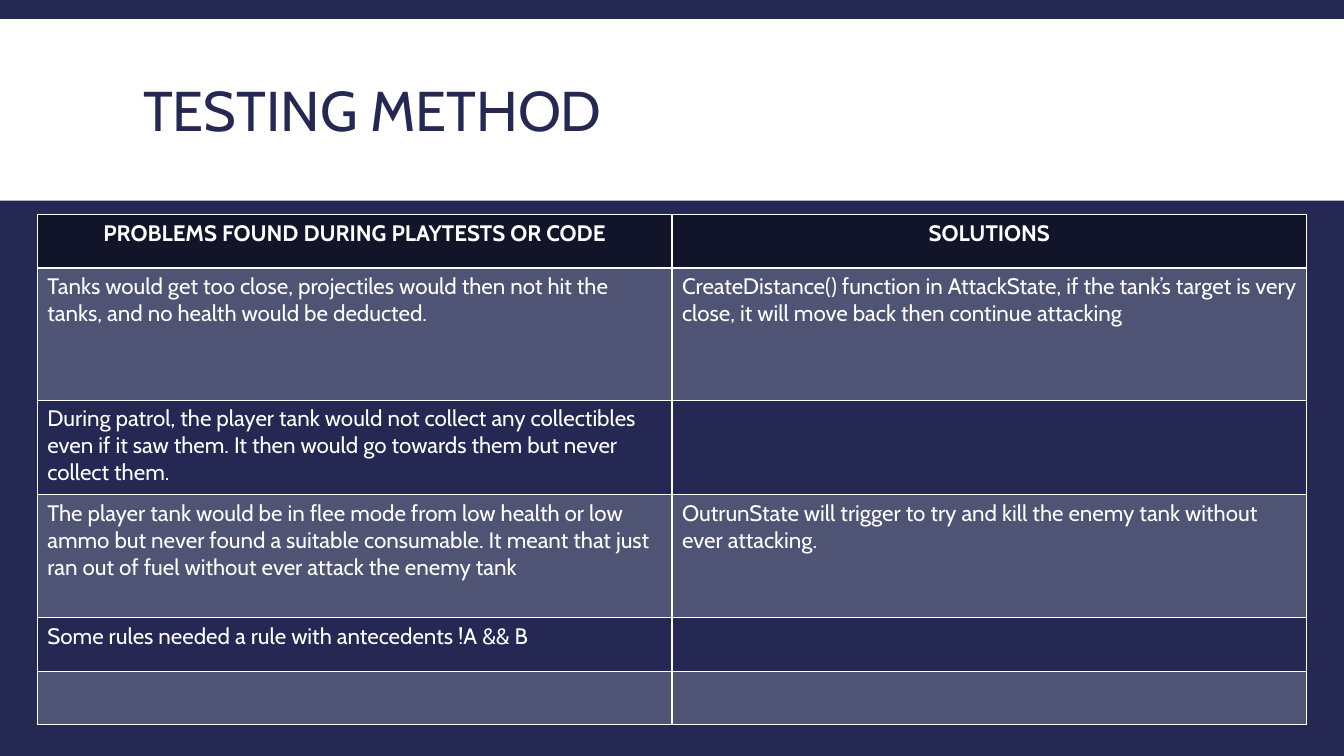
from lxml.etree import SubElement as Sub
from pptx import Presentation
from pptx.dml.color import RGBColor as Rgb
from pptx.enum.shapes import MSO_SHAPE as Shape
from pptx.enum.text import MSO_ANCHOR as Anchor, MSO_AUTO_SIZE as Fit, PP_ALIGN as Align
from pptx.oxml import parse_xml
from pptx.oxml.ns import nsdecls, qn
from pptx.util import Inches, Pt

NAVY = Rgb(0x24, 0x28, 0x52)
DARK = Rgb(0x12, 0x14, 0x29)
WHITE = Rgb(0xFF, 0xFF, 0xFF)
FONT = "Cabin"

# Row height, problem, solution
ROWS = [
    (0.53, "PROBLEMS FOUND DURING PLAYTESTS OR CODE", "SOLUTIONS"),
    (1.31, "Tanks would get too close, projectiles would then not hit the tanks, "
           "and no health would be deducted.",
     "CreateDistance() function in AttackState, if the tank’s target is very close, "
     "it will move back then continue attacking"),
    (0.94, "During patrol, the player tank would not collect any collectibles even if "
           "it saw them. It then would go towards them but never collect them.", ""),
    (1.22, "The player tank would be in flee mode from low health or low ammo but never "
           "found a suitable consumable. It meant that just ran out of fuel without "
           "ever attack the enemy tank",
     "OutrunState will trigger to try and kill the enemy tank without ever attacking."),
    (0.53, "Some rules needed a rule with antecedents !A && B", ""),
    (0.53, "", ""),
]


def add_run(para, text, size, color, bold=False):
    run = para.add_run()
    run.text = text
    font = run.font
    font.name, font.size, font.bold = FONT, Pt(size), bold
    font.color.rgb = color


def add_head(slide, left, top, width, height):
    # White band behind the title
    band = slide.shapes.add_shape(Shape.RECTANGLE, Inches(left), Inches(top),
                                  Inches(width), Inches(height))
    band.shadow.inherit = False
    band.fill.solid()
    band.fill.fore_color.rgb = WHITE
    band.line.fill.background()

    # Title
    title = slide.shapes.title
    title.element.addprevious(band.element)
    title.left, title.top = Inches(left + 1.32), Inches(top + 0.12)
    title.width, title.height = Inches(width - 2.63), Inches(height - 0.15)
    frame = title.text_frame
    frame.word_wrap = True
    frame.auto_size = Fit.NONE
    frame.vertical_anchor = Anchor.MIDDLE
    para = frame.paragraphs[0]
    para.alignment = Align.LEFT
    para.line_spacing = 0.85
    add_run(para, "TESTING METHOD", 40, NAVY)


def set_edges(cell, top, bottom):
    props = cell._tc.get_or_add_tcPr()
    edges = [("L", 1), ("R", 1), ("T", top), ("B", bottom)]
    for spot, (side, width) in enumerate(edges):
        props.insert(spot, parse_xml(
            f'<a:ln{side} {nsdecls("a")} w="{Pt(width)}"><a:solidFill>'
            f'<a:srgbClr val="{WHITE}"/></a:solidFill></a:ln{side}>'))


def set_fill(cell, row):
    if row and row % 2 == 0:
        cell.fill.background()
        return
    cell.fill.solid()
    cell.fill.fore_color.rgb = WHITE if row else DARK
    if row:
        color = cell._tc.tcPr.find(qn("a:solidFill")).find(qn("a:srgbClr"))
        Sub(color, qn("a:alpha"), val="20000")


def add_grid(slide, left, top, width):
    high = sum(row[0] for row in ROWS)
    grid = slide.shapes.add_table(len(ROWS), 2, Inches(left), Inches(top),
                                  Inches(width), Inches(high)).table
    for col in grid.columns:
        col.width = Inches(width / 2)
    for row, (height, *texts) in enumerate(ROWS):
        grid.rows[row].height = Inches(height)
        for col, text in enumerate(texts):
            cell = grid.cell(row, col)
            set_fill(cell, row)
            set_edges(cell, 2 if row == 1 else 1, 1 if row else 2)
            para = cell.text_frame.paragraphs[0]
            para.alignment = Align.LEFT if row else Align.CENTER
            if text:
                add_run(para, text, 16, WHITE, row == 0)


def main():
    deck = Presentation()
    deck.slide_width, deck.slide_height = Inches(13.33), Inches(7.5)
    slide = deck.slides.add_slide(deck.slide_layouts[5])
    slide.background.fill.solid()
    slide.background.fill.fore_color.rgb = NAVY
    add_head(slide, 0, 0.19, 13.33, 1.8)
    add_grid(slide, 0.37, 2.13, 12.59)
    deck.save("out.pptx")


if __name__ == "__main__":
    main()
